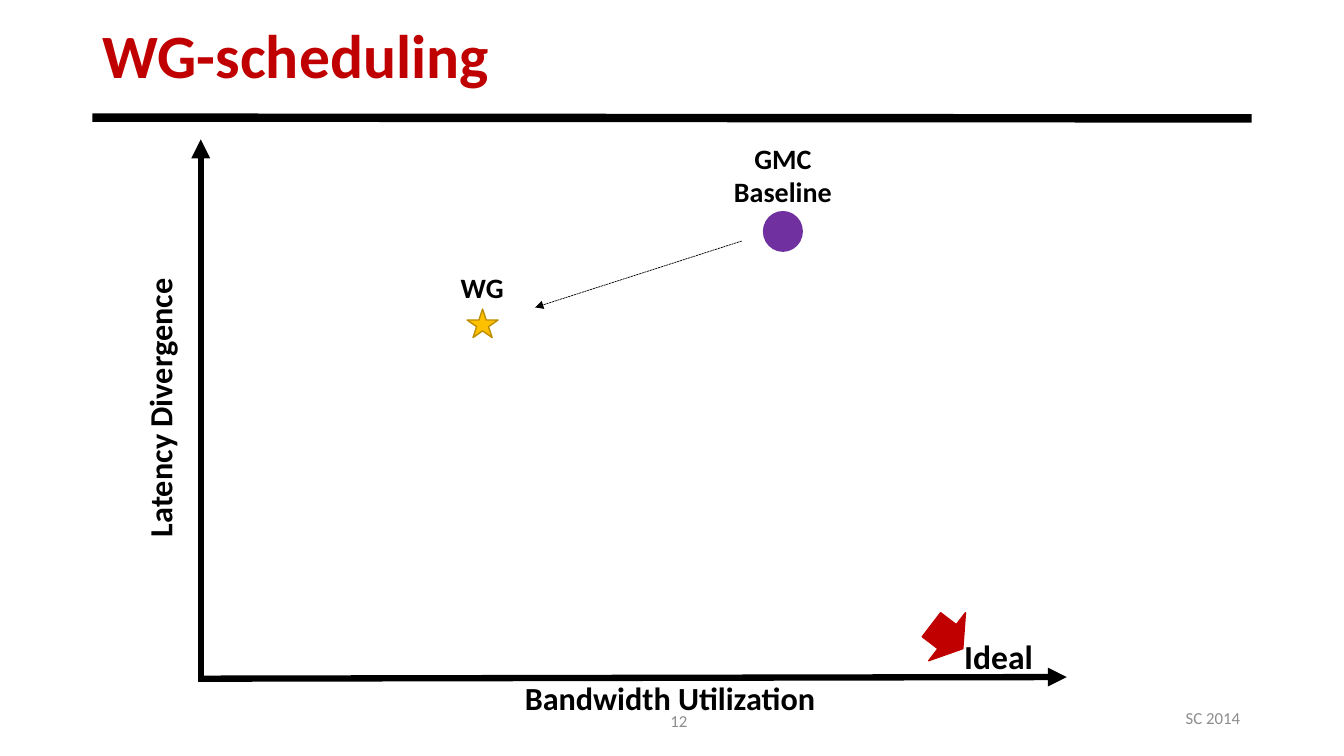
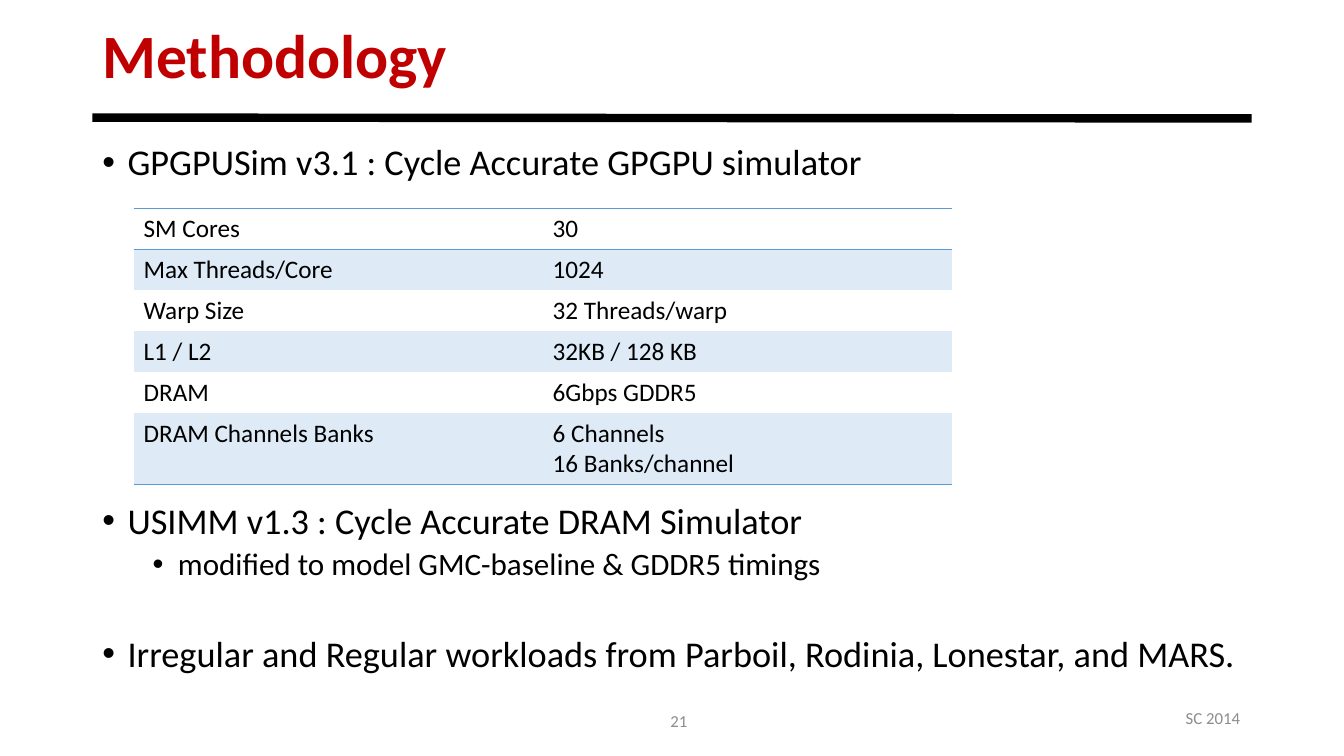
import dataclasses
import typing

import lxml.etree
import pptx
import pptx.dml.color
import pptx.enum.dml
import pptx.enum.shapes
import pptx.enum.text
import pptx.oxml.ns
import pptx.presentation
import pptx.shapes.autoshape
import pptx.slide
import pptx.table
import pptx.text.text
import pptx.util

RGBColor = pptx.dml.color.RGBColor
Align = pptx.enum.text.PP_ALIGN
Anchor = pptx.enum.text.MSO_ANCHOR
Preset = pptx.enum.shapes.MSO_SHAPE

BLACK = RGBColor(0x00, 0x00, 0x00)
RED = RGBColor(0xC0, 0x00, 0x00)
GRAY = RGBColor(0x8C, 0x8C, 0x8C)
PURPLE = RGBColor(0x70, 0x30, 0xA0)
GOLD = RGBColor(0xFF, 0xC0, 0x00)
DARK_GOLD = RGBColor(0xBD, 0x8E, 0x00)
BLUE = RGBColor(0x5B, 0x9B, 0xD5)
PALE_BLUE = RGBColor(0xDE, 0xEB, 0xF7)

FONT = "Calibri"
SLIDE_WIDTH = pptx.util.Inches(13.33)
SLIDE_HEIGHT = pptx.util.Inches(7.5)
GRID_COLUMNS = 160
GRID_ROWS = 90
TITLE_ONLY_LAYOUT = 5
PLAIN_TABLE_STYLE = "{2D5ABB26-0587-4C30-8999-92F81FD0307C}"


class Box(typing.NamedTuple):
    column: float
    row: float
    columns: float
    rows: float


class Point(typing.NamedTuple):
    column: float
    row: float


@dataclasses.dataclass(frozen=True)
class Label:
    text: str
    box: Box
    size: float
    color: RGBColor = BLACK
    bold: bool = True
    align: Align = Align.CENTER
    anchor: Anchor = Anchor.TOP
    rotation: float = 0


@dataclasses.dataclass(frozen=True)
class Line:
    start: Point
    end: Point
    width: float
    arrow: bool = True
    dashed: bool = False


@dataclasses.dataclass(frozen=True)
class Marker:
    preset: Preset
    box: Box
    fill: RGBColor
    outline: RGBColor
    rotation: float = 0


@dataclasses.dataclass(frozen=True)
class Bullet:
    text: str
    size: float
    indent: float
    space_before: float


TITLE_BOX = Box(11, 2, 138, 10)
BODY_BOX = Box(11, 16.6, 138, 66.4)
TITLE_RULE = Line(Point(11, 14), Point(149, 14.1), 6, arrow=False)

PLOT_LINES = (
    Line(Point(23.9, 81.2), Point(23.9, 16.6), 4.5),
    Line(Point(23.9, 80.8), Point(127, 80.6), 4.5),
    Line(Point(88.3, 28.7), Point(63.7, 36.6), 0.5, dashed=True),
)
PLOT_MARKERS = (
    Marker(Preset.RIGHT_ARROW, Box(110.4, 72.2, 4.7, 7.2), RED, RED, 37.4),
    Marker(Preset.OVAL, Box(90.9, 25.2, 4.6, 4.7), PURPLE, PURPLE),
    Marker(Preset.STAR_5_POINT, Box(55.6, 36.8, 3.7, 3.4), GOLD, DARK_GOLD),
)
PLOT_LABELS = (
    Label("Latency Divergence", Box(1.4, 45.6, 35.3, 5.9), 23, rotation=270),
    Label("Bandwidth Utilization", Box(59.3, 80.2, 41, 5.9), 23),
    Label("Ideal", Box(113.6, 75.1, 16.6, 6), 24, align=Align.LEFT),
    Label("GMC Baseline", Box(84.9, 16.2, 16.6, 9.2), 20),
    Label("WG", Box(49.1, 31.6, 16.6, 5.3), 20),
)

BULLETS = (
    Bullet("GPGPUSim v3.1 : Cycle Accurate GPGPU simulator", 25.9, 0.25, 0),
    Bullet("USIMM v1.3 : Cycle Accurate DRAM Simulator", 25.9, 0.25, 228),
    Bullet("modified to model GMC-baseline & GDDR5 timings", 22.2, 0.75, 5),
    Bullet("Irregular and Regular workloads from Parboil, Rodinia, Lonestar, and MARS.",
           25.9, 0.25, 38),
)

SIMULATOR_SETTINGS = (
    ("SM Cores", ("30",)),
    ("Max Threads/Core", ("1024",)),
    ("Warp Size", ("32 Threads/warp",)),
    ("L1 / L2", ("32KB / 128 KB",)),
    ("DRAM", ("6Gbps GDDR5",)),
    ("DRAM Channels Banks", ("6 Channels", "16 Banks/channel")),
)
TABLE_CORNER = Point(15.9, 24.8)
TABLE_COLUMN = 48.7
TABLE_ROW = 4.88
TABLE_EXTRA_LINE = 3.6


def across(columns: float) -> int:
    return round(SLIDE_WIDTH * columns / GRID_COLUMNS)


def down(rows: float) -> int:
    return round(SLIDE_HEIGHT * rows / GRID_ROWS)


def place(box: Box) -> tuple[int, int, int, int]:
    return across(box.column), down(box.row), across(box.columns), down(box.rows)


def add_element(parent: lxml.etree._Element, tag: str, **attributes: str) -> lxml.etree._Element:
    return lxml.etree.SubElement(parent, pptx.oxml.ns.qn(tag), attributes)


def add_run(paragraph: pptx.text.text._Paragraph, text: str, size: float,
            color: RGBColor = BLACK, bold: bool = False) -> None:
    run = paragraph.add_run()
    run.text = text
    run.font.name = FONT
    run.font.size = pptx.util.Pt(size)
    run.font.bold = bold
    run.font.color.rgb = color


def add_label(slide: pptx.slide.Slide, label: Label) -> None:
    shape = slide.shapes.add_textbox(*place(label.box))
    shape.rotation = label.rotation
    frame = shape.text_frame
    frame.word_wrap = True
    frame.vertical_anchor = label.anchor
    paragraph = frame.paragraphs[0]
    paragraph.alignment = label.align
    add_run(paragraph, label.text, label.size, label.color, label.bold)


def add_line(slide: pptx.slide.Slide, line: Line) -> None:
    connector = slide.shapes.add_connector(
        pptx.enum.shapes.MSO_CONNECTOR.STRAIGHT,
        across(line.start.column), down(line.start.row),
        across(line.end.column), down(line.end.row))
    connector.line.color.rgb = BLACK
    connector.line.width = pptx.util.Pt(line.width)
    if line.dashed:
        connector.line.dash_style = pptx.enum.dml.MSO_LINE.SQUARE_DOT
    properties = connector._element.spPr
    if line.arrow:
        add_element(properties.find(pptx.oxml.ns.qn("a:ln")), "a:tailEnd", type="triangle")
    add_element(properties, "a:effectLst")


def add_marker(slide: pptx.slide.Slide, marker: Marker) -> None:
    shape = slide.shapes.add_shape(marker.preset, *place(marker.box))
    shape.shadow.inherit = False
    shape.rotation = marker.rotation
    shape.fill.solid()
    shape.fill.fore_color.rgb = marker.fill
    shape.line.color.rgb = marker.outline
    shape.line.width = pptx.util.Pt(1)


def add_bullets(slide: pptx.slide.Slide, bullets: tuple[Bullet, ...]) -> None:
    frame = slide.shapes.add_textbox(*place(BODY_BOX)).text_frame
    frame.word_wrap = True
    for index, bullet in enumerate(bullets):
        paragraph = frame.add_paragraph() if index else frame.paragraphs[0]
        properties = paragraph._p.get_or_add_pPr()
        properties.set("marL", str(pptx.util.Inches(bullet.indent)))
        properties.set("indent", str(-pptx.util.Inches(0.25)))
        add_element(properties, "a:buFont", typeface="Arial")
        add_element(properties, "a:buChar", char="•")
        paragraph.line_spacing = 0.9
        paragraph.space_before = pptx.util.Pt(bullet.space_before)
        add_run(paragraph, bullet.text, bullet.size)


def add_border(cell: pptx.table._Cell, side: str) -> None:
    properties = cell._tc.get_or_add_tcPr()
    border = add_element(properties, side, w=str(pptx.util.Pt(1)))
    add_element(add_element(border, "a:solidFill"), "a:srgbClr", val=str(BLUE))


def fill_cell(cell: pptx.table._Cell, lines: tuple[str, ...], row: int) -> None:
    if row == 0:
        add_border(cell, "a:lnT")
    if row in (0, len(SIMULATOR_SETTINGS) - 1):
        add_border(cell, "a:lnB")
    if row % 2:
        cell.fill.solid()
        cell.fill.fore_color.rgb = PALE_BLUE
    else:
        cell.fill.background()
    frame = cell.text_frame
    for index, line in enumerate(lines):
        paragraph = frame.add_paragraph() if index else frame.paragraphs[0]
        add_run(paragraph, line, 18)


def add_settings_table(slide: pptx.slide.Slide) -> None:
    heights = [TABLE_ROW + TABLE_EXTRA_LINE * (len(values) - 1)
               for _, values in SIMULATOR_SETTINGS]
    box = Box(*TABLE_CORNER, 2 * TABLE_COLUMN, sum(heights))
    table = slide.shapes.add_table(len(heights), 2, *place(box)).table
    table.first_row = False
    table.horz_banding = False
    style = table._tbl.tblPr.find(pptx.oxml.ns.qn("a:tableStyleId"))
    style.text = PLAIN_TABLE_STYLE
    for row, (name, values) in enumerate(SIMULATOR_SETTINGS):
        table.rows[row].height = down(heights[row])
        fill_cell(table.cell(row, 0), (name,), row)
        fill_cell(table.cell(row, 1), values, row)


def add_titled_slide(presentation: pptx.presentation.Presentation,
                     title: str, number: int) -> pptx.slide.Slide:
    slide = presentation.slides.add_slide(presentation.slide_layouts[TITLE_ONLY_LAYOUT])
    shape = slide.shapes.title
    shape.left, shape.top, shape.width, shape.height = place(TITLE_BOX)
    frame = shape.text_frame
    frame.word_wrap = True
    frame.auto_size = pptx.enum.text.MSO_AUTO_SIZE.NONE
    frame.vertical_anchor = Anchor.MIDDLE
    paragraph = frame.paragraphs[0]
    paragraph.alignment = Align.LEFT
    paragraph.line_spacing = 0.9
    add_run(paragraph, title, 44, RED, True)
    add_line(slide, TITLE_RULE)
    add_label(slide, Label("SC 2014", Box(139.8, 83, 9.2, 4.8), 12, GRAY, False,
                           anchor=Anchor.MIDDLE))
    add_label(slide, Label(str(number), Box(77.2, 83.4, 5.8, 4.8), 12, GRAY, False,
                           Align.RIGHT, Anchor.MIDDLE))
    return slide


def add_scheduling_slide(presentation: pptx.presentation.Presentation) -> None:
    slide = add_titled_slide(presentation, "WG-scheduling", 12)
    for line in PLOT_LINES:
        add_line(slide, line)
    for marker in PLOT_MARKERS:
        add_marker(slide, marker)
    for label in PLOT_LABELS:
        add_label(slide, label)


def add_methodology_slide(presentation: pptx.presentation.Presentation) -> None:
    slide = add_titled_slide(presentation, "Methodology", 21)
    add_bullets(slide, BULLETS)
    add_settings_table(slide)


def main() -> None:
    presentation = pptx.Presentation()
    presentation.slide_width = SLIDE_WIDTH
    presentation.slide_height = SLIDE_HEIGHT
    add_scheduling_slide(presentation)
    add_methodology_slide(presentation)
    presentation.save("out.pptx")


if __name__ == "__main__":
    main()
